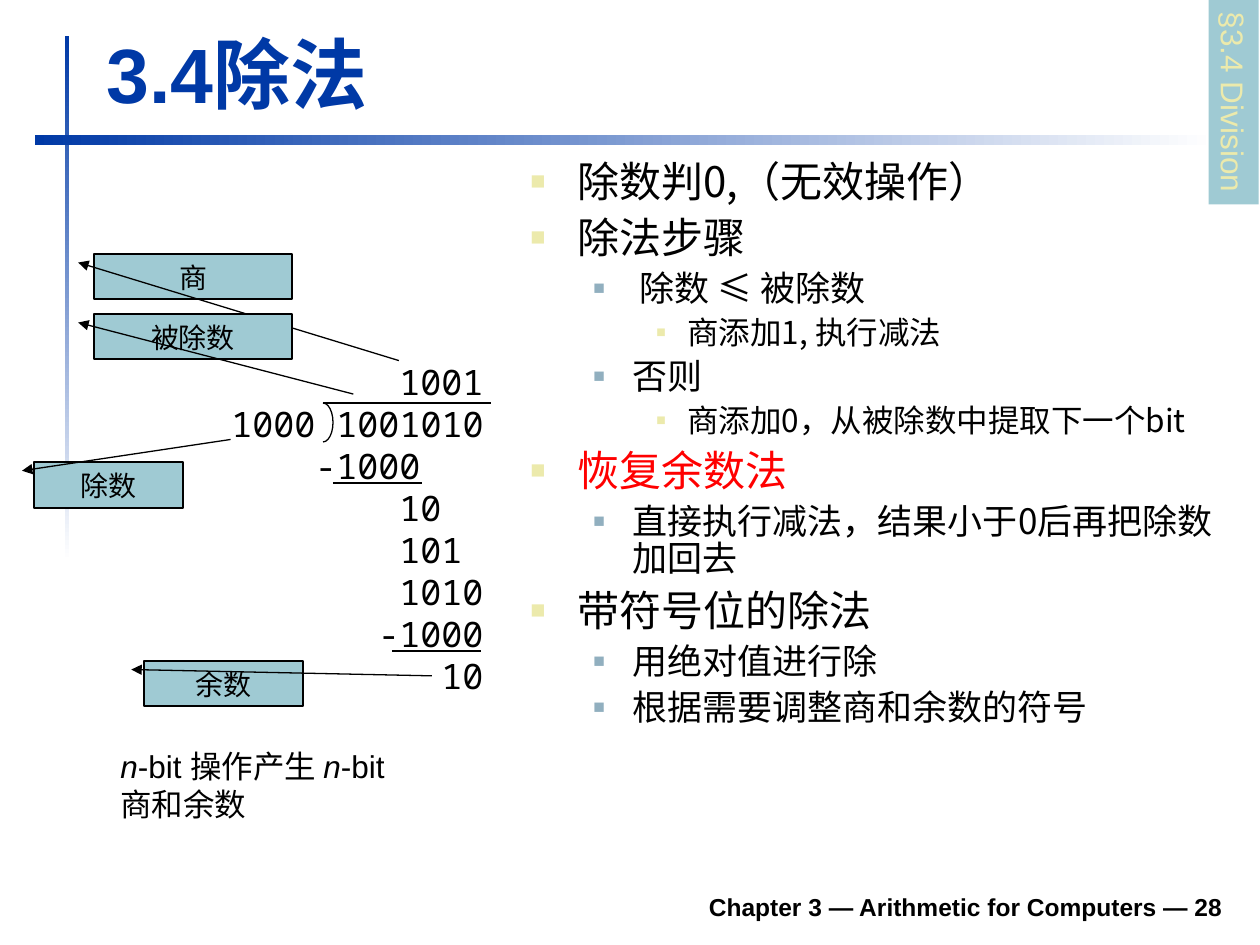
from lxml.etree import SubElement
from pptx import Presentation
from pptx.dml.color import RGBColor
from pptx.enum.shapes import MSO_CONNECTOR as CONNECTOR, MSO_SHAPE as SHAPE
from pptx.enum.text import MSO_ANCHOR as ANCHOR, PP_ALIGN as ALIGN
from pptx.oxml.ns import qn
from pptx.util import Pt

SCALE = 914400 / 126
BLUE, TEAL, CREAM, STEEL = "0039A6", "9FCAD3", "ECEAAC", "91AFBF"
BLACK, WHITE, RED = "000000", "FFFFFF", "FF0000"
SANS, CJK, MONO = "Arial", "Noto Sans CJK SC", "Noto Sans Mono"
LEVELS = [
    dict(margin=47, hang=47, size=24, before=6, color=CREAM, percent=60),
    dict(margin=102, hang=39, size=20, before=5, color=STEEL, percent=55),
    dict(margin=157, hang=31, size=18, before=4.5, color=CREAM, percent=50),
]


def px(length):
    return round(length * SCALE)


def rgb(value):
    return RGBColor.from_string(value)


class DivisionSlide:
    """Holds the slide and its style, with a method for each kind of element."""

    def __init__(self, presentation):
        self.slide = presentation.slides.add_slide(presentation.slide_layouts[6])
        self.shapes = self.slide.shapes

    def style(self, paragraph, size, font=SANS, color=BLACK, bold=False):
        for run in paragraph.runs:
            run.font.size = Pt(size)
            run.font.name = font
            run.font.bold = bold
            run.font.color.rgb = rgb(color)
            SubElement(run.font._element, qn("a:ea"), typeface=CJK)

    def indent(self, paragraph, margin, hang=0):
        properties = paragraph._p.get_or_add_pPr()
        properties.set("marL", str(px(margin)))
        properties.set("indent", str(-px(hang)))
        return properties

    def frame(self, box, anchor=ANCHOR.TOP):
        text_frame = self.shapes.add_textbox(*map(px, box)).text_frame
        text_frame.word_wrap = True
        text_frame.vertical_anchor = anchor
        return text_frame

    def label(self, box, text, size, color, align=ALIGN.LEFT):
        text_frame = self.frame(box, ANCHOR.BOTTOM)
        text_frame.text = text
        text_frame.paragraphs[0].alignment = align
        self.style(text_frame.paragraphs[0], size, color=color, bold=True)

    def shape(self, kind, box):
        shape = self.shapes.add_shape(kind, *map(px, box))
        shape.shadow.inherit = False
        shape.line.fill.background()
        return shape

    def outline(self, line):
        line.color.rgb = rgb(BLACK)
        line.width = Pt(0.75)

    def gradient_bar(self, box, angle):
        fill = self.shape(SHAPE.RECTANGLE, box).fill
        fill.gradient()
        fill.gradient_angle = angle
        for stop, color in zip(fill.gradient_stops, (BLUE, WHITE)):
            stop.color.rgb = rgb(color)

    def panel(self, kind, box, text, size, color, align):
        shape = self.shape(kind, box)
        shape.fill.solid()
        shape.fill.fore_color.rgb = rgb(TEAL)
        shape.text_frame.text = text
        shape.text_frame.vertical_anchor = ANCHOR.TOP
        shape.text_frame.paragraphs[0].alignment = align
        self.style(shape.text_frame.paragraphs[0], size, color=color)
        return shape

    def callout(self, box, text, target_y, target_x):
        shape = self.panel(SHAPE.LINE_CALLOUT_1, box, text, 16, BLACK, ALIGN.CENTER)
        for index, value in enumerate((0.19, -0.08, target_y, target_x)):
            shape.adjustments[index] = value
        self.outline(shape.line)
        SubElement(shape.line._get_or_add_ln(), qn("a:headEnd"), type="triangle")

    def side_tab(self, box, text):
        shape = self.panel(SHAPE.RECTANGLE, box, text, 18, CREAM, ALIGN.LEFT)
        shape.text_frame.word_wrap = False
        shape.rotation = 90

    def rule(self, left, right, y):
        connector = self.shapes.add_connector(
            CONNECTOR.STRAIGHT, px(left), px(y), px(right), px(y))
        self.outline(connector.line)
        SubElement(connector._element.spPr, qn("a:effectLst"))

    def bracket(self, box):
        shape = self.shape(SHAPE.ARC, box)
        shape.fill.background()
        shape.adjustments[0], shape.adjustments[1] = 162, 54
        self.outline(shape.line)

    def bullets(self, box, items):
        text_frame = self.frame(box)
        text_frame.text = "\n".join(text for _, text, _, _ in items)
        for index, (paragraph, item) in enumerate(zip(text_frame.paragraphs, items)):
            depth, _, color, shift = item
            level = LEVELS[depth]
            paragraph.level = depth
            properties = self.indent(
                paragraph, level["margin"] + shift, level["hang"] + shift)
            bullet_color = SubElement(properties, qn("a:buClr"))
            SubElement(bullet_color, qn("a:srgbClr"), val=level["color"])
            SubElement(properties, qn("a:buSzPct"), val=str(level["percent"] * 1000))
            SubElement(properties, qn("a:buFont"), typeface=SANS)
            SubElement(properties, qn("a:buChar"), char="■")
            paragraph.line_spacing = 0.9
            if index:
                paragraph.space_before = Pt(level["before"])
            self.style(paragraph, level["size"], CJK, color)

    def long_division(self, box, rows, digit_width):
        text_frame = self.frame(box)
        text_frame.text = "\n".join(text for _, text in rows)
        for paragraph, (column, _) in zip(text_frame.paragraphs, rows):
            self.indent(paragraph, column * digit_width)
            self.style(paragraph, 20, MONO)

    def note(self, box, lines):
        paragraph = self.frame(box).paragraphs[0]
        for index, line in enumerate(lines):
            if index:
                paragraph.add_line_break()
            for text in line:
                paragraph.add_run().text = text
        self.style(paragraph, 18)
        for run in paragraph.runs:
            run.font.italic = run.text == "n"


def main():
    presentation = Presentation()
    presentation.slide_width, presentation.slide_height = px(1260), px(945)
    page = DivisionSlide(presentation)

    page.gradient_bar((65, 36, 4, 525), 270)
    page.gradient_bar((35, 135, 1180, 10), 0)
    page.label((233, 879, 1002, 49), "Chapter 3 — Arithmetic for Computers — 28",
               14, BLACK, ALIGN.RIGHT)
    page.label((94, 20, 1138, 105), "3.4除法", 44, BLUE)
    page.bullets((518, 155, 717, 704), [
        (0, "除数判0,（无效操作）", BLACK, 0),
        (0, "除法步骤", BLACK, 0),
        (1, "除数 ≤ 被除数", BLACK, 7),
        (2, "商添加1, 执行减法", BLACK, 0),
        (1, "否则", BLACK, 0),
        (2, "商添加0，从被除数中提取下一个bit", BLACK, 0),
        (0, "恢复余数法", RED, 0),
        (1, "直接执行减法，结果小于0后再把除数加回去", BLACK, 0),
        (0, "带符号位的除法", BLACK, 0),
        (1, "用绝对值进行除", BLACK, 0),
        (1, "根据需要调整商和余数的符号", BLACK, 0),
    ])
    page.long_division((219, 354, 290, 349), [
        (8, "1001"), (0, "1000 1001010"), (4, "-1000"), (8, "10"),
        (8, "101"), (8, "1010"), (7, "-1000"), (10, "10"),
    ], 21)
    for left, right, y in ((323, 491, 403), (333, 422, 483), (392, 481, 651)):
        page.rule(left, right, y)
    page.note((108, 741, 305, 88),
              [("n", "-bit 操作产生 ", "n", "-bit"), ("商和余数",)])
    page.callout((94, 254, 198, 45), "商", 2.37, 1.54)
    page.callout((94, 314, 198, 45), "被除数", 1.78, 1.31)
    page.callout((144, 661, 159, 45), "余数", 0.33, 1.81)
    page.bracket((313, 403, 20, 39))
    page.callout((34, 462, 149, 46), "除数", -0.49, 1.32)
    page.side_tab((1131, 77, 205, 50), "§3.4 Division")
    presentation.save("out.pptx")


if __name__ == "__main__":
    main()
